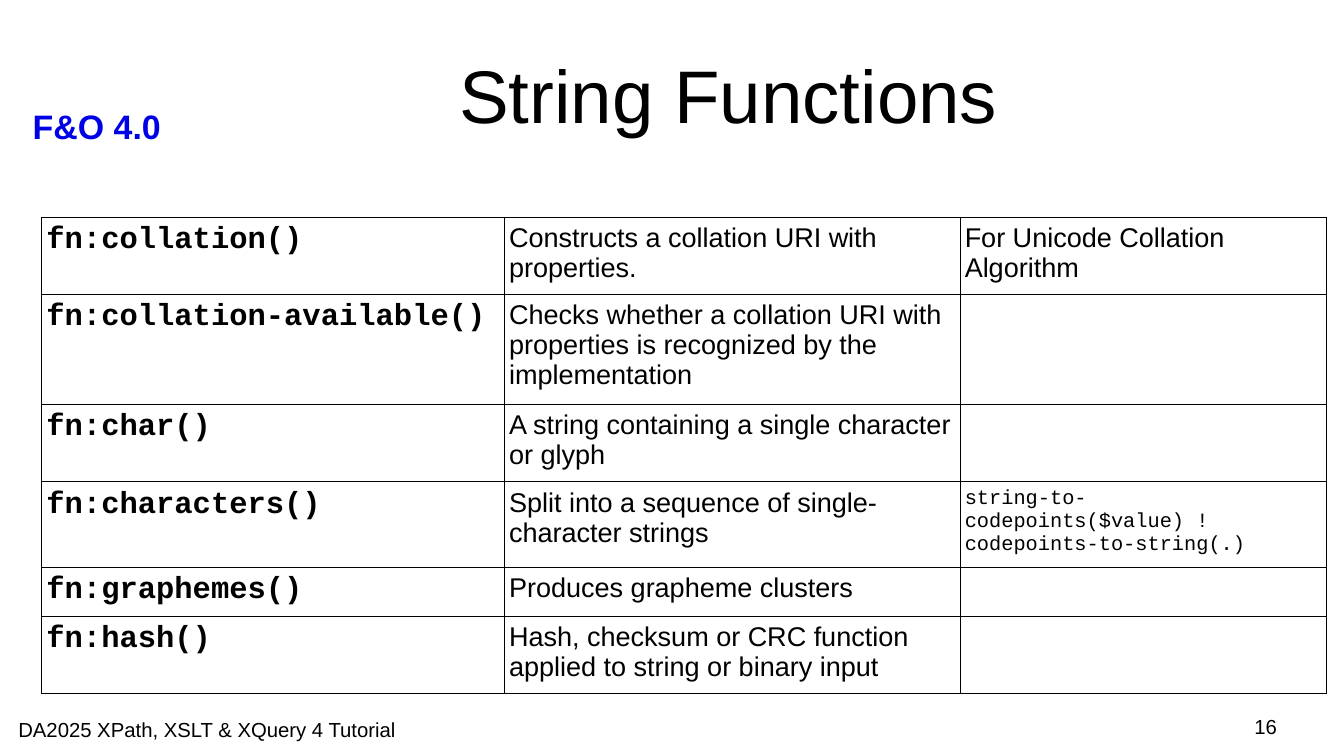
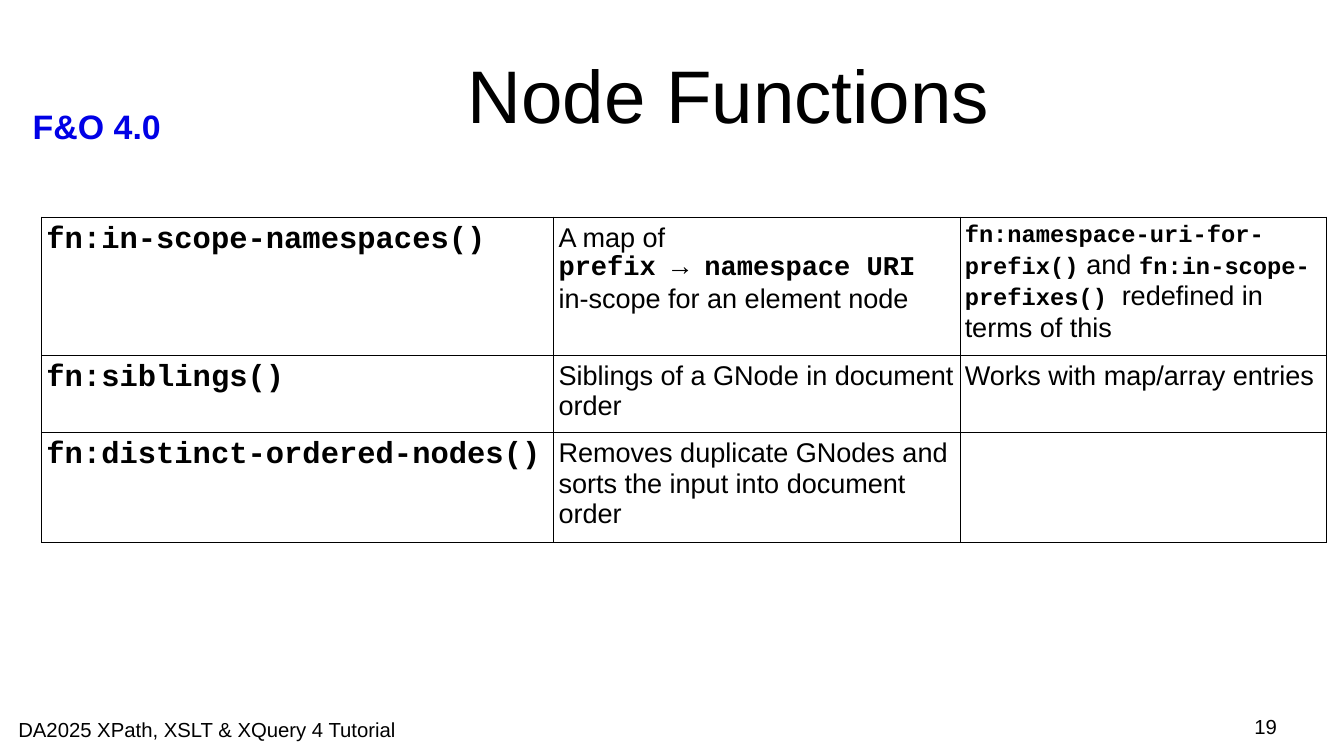
from dataclasses import dataclass

from lxml import etree
from pptx import Presentation
from pptx.dml.color import RGBColor
from pptx.enum.text import MSO_ANCHOR, PP_ALIGN
from pptx.oxml.ns import qn
from pptx.util import Inches, Pt

LEFT, CENTER, RIGHT = PP_ALIGN.LEFT, PP_ALIGN.CENTER, PP_ALIGN.RIGHT
TOP, MIDDLE = MSO_ANCHOR.TOP, MSO_ANCHOR.MIDDLE

BLACK = RGBColor(0x00, 0x00, 0x00)
BLUE = RGBColor(0x00, 0x00, 0xE6)
SANS, MONO = "Arial", "Courier New"
BORDER_WIDTH = Pt(0.57)
BLANK_LAYOUT = 6


@dataclass
class Box:
    left: int
    top: int
    width: int
    height: int

    def inner(self, left, top, width, height):
        """Return an inner box, given in percent of this one."""
        return Box(self.left + round(self.width * left / 100),
                   self.top + round(self.height * top / 100),
                   round(self.width * width / 100),
                   round(self.height * height / 100))


def write(para, text, size=16, font=SANS, bold=False, color=BLACK):
    """Append text to a paragraph; a newline becomes a line break."""
    for index, line in enumerate(text.split("\n")):
        if index:
            para.add_line_break()
        if line:
            span = para.add_run()
            span.text = line
            span.font.size = Pt(size)
            span.font.name = font
            span.font.bold = bold
            span.font.color.rgb = color


def add_text(page, box, text, align=LEFT, anchor=TOP, margins=(0, 0), **style):
    shape = page.shapes.add_textbox(box.left, box.top, box.width, box.height)
    frame = shape.text_frame
    frame.word_wrap = True
    frame.vertical_anchor = anchor
    frame.margin_left = frame.margin_right = Inches(margins[0])
    frame.margin_top = frame.margin_bottom = Inches(margins[1])
    para = frame.paragraphs[0]
    para.alignment = align
    write(para, text, **style)


def add_frame(page, box, title, number):
    """Place the title, side label and footer that every slide has."""
    add_text(page, box.inner(1.54, 13.23, 12.6, 6.6), "F&O 4.0",
             margins=(0.1, 0.05), size=20, bold=True, color=BLUE)
    add_text(page, box.inner(13.43, 4.03, 81.58, 16.77), title,
             align=CENTER, anchor=MIDDLE, size=44)
    add_text(page, box.inner(1.36, 94.84, 31.67, 3.06),
             "DA2025 XPath, XSLT & XQuery 4 Tutorial", size=12)
    add_text(page, box.inner(71.69, 94.52, 23.32, 3.87), str(number),
             align=RIGHT, size=12)


def set_borders(cell):
    properties = cell._tc.get_or_add_tcPr()
    for position, side in enumerate(("a:lnL", "a:lnR", "a:lnT", "a:lnB")):
        line = etree.Element(qn(side), w=str(BORDER_WIDTH))
        fill = etree.SubElement(line, qn("a:solidFill"))
        etree.SubElement(fill, qn("a:srgbClr"), val=str(BLACK))
        properties.insert(position, line)


def fill_cell(cell, spans):
    cell.fill.background()
    cell.margin_left = cell.margin_right = Inches(0.04)
    cell.margin_top = cell.margin_bottom = Inches(0.05)
    set_borders(cell)
    for text, style in spans:
        write(cell.text_frame.paragraphs[0], text, **style)


def add_function_table(page, box, columns, rows):
    """Columns are in percent of the box width, row heights of its height."""
    total = sum(height for height, *_ in rows)
    shape = page.shapes.add_table(len(rows), len(columns), box.left, box.top,
                                  box.width, round(box.height * total / 100))
    table = shape.table
    table.first_row = table.horz_banding = False
    for column, share in zip(table.columns, columns):
        column.width = round(box.width * share / 100)
    for row, (height, name, purpose, remark) in zip(table.rows, rows):
        row.height = round(box.height * height / 100)
        contents = ([(name, NAME)], purpose, remark)
        for cell, content in zip(row.cells, contents):
            spans = [(content, {})] if isinstance(content, str) else content
            fill_cell(cell, spans)


def add_function_slide(deck, title, number, columns, rows):
    page = deck.slides.add_slide(deck.slide_layouts[BLANK_LAYOUT])
    box = Box(0, 0, deck.slide_width, deck.slide_height)
    add_frame(page, box, title, number)
    add_function_table(page, box.inner(3.09, 28.71, 95.64, 100), columns, rows)


NAME = {"size": 18, "font": MONO, "bold": True}
TERM = {"font": MONO, "bold": True}
SMALL_TERM = {"size": 14, "font": MONO, "bold": True}
CODE = {"size": 12, "font": MONO}

STRING_ROWS = [
    (10.2, "fn:collation()", "Constructs a collation URI with properties.",
     "For Unicode Collation Algorithm"),
    (14.4, "fn:collation-available()",
     "Checks whether a collation URI with properties is recognized by the "
     "implementation", ""),
    (10.3, "fn:char()", "A string containing a single character or glyph", ""),
    (11.2, "fn:characters()",
     "Split into a sequence of single-character strings",
     [("string-to-codepoints($value) ! codepoints-to-string(.)", CODE)]),
    (6.5, "fn:graphemes()", "Produces grapheme clusters", ""),
    (10.2, "fn:hash()",
     "Hash, checksum or CRC function applied to string or binary input", ""),
]

NODE_ROWS = [
    (18.2, "fn:in-scope-namespaces()",
     [("A map of\n", {}), ("prefix → namespace URI\n", TERM),
      ("in-scope for an element node", {})],
     [("fn:namespace-uri-for-prefix()", SMALL_TERM), (" and ", {}),
      ("fn:in-scope-prefixes() ", SMALL_TERM),
      ("redefined in terms of this", {})]),
    (10.2, "fn:siblings()", "Siblings of a GNode in document order",
     "Works with map/array entries"),
    (14.5, "fn:distinct-ordered-nodes()",
     "Removes duplicate GNodes and sorts the input into document order", ""),
]


def main():
    deck = Presentation()
    deck.slide_width, deck.slide_height = Inches(11.02), Inches(6.2)
    add_function_slide(deck, "String Functions", 16, (36, 35.45, 28.55),
                       STRING_ROWS)
    add_function_slide(deck, "Node Functions", 19, (39.85, 31.6, 28.55),
                       NODE_ROWS)
    deck.save("out.pptx")


if __name__ == "__main__":
    main()
